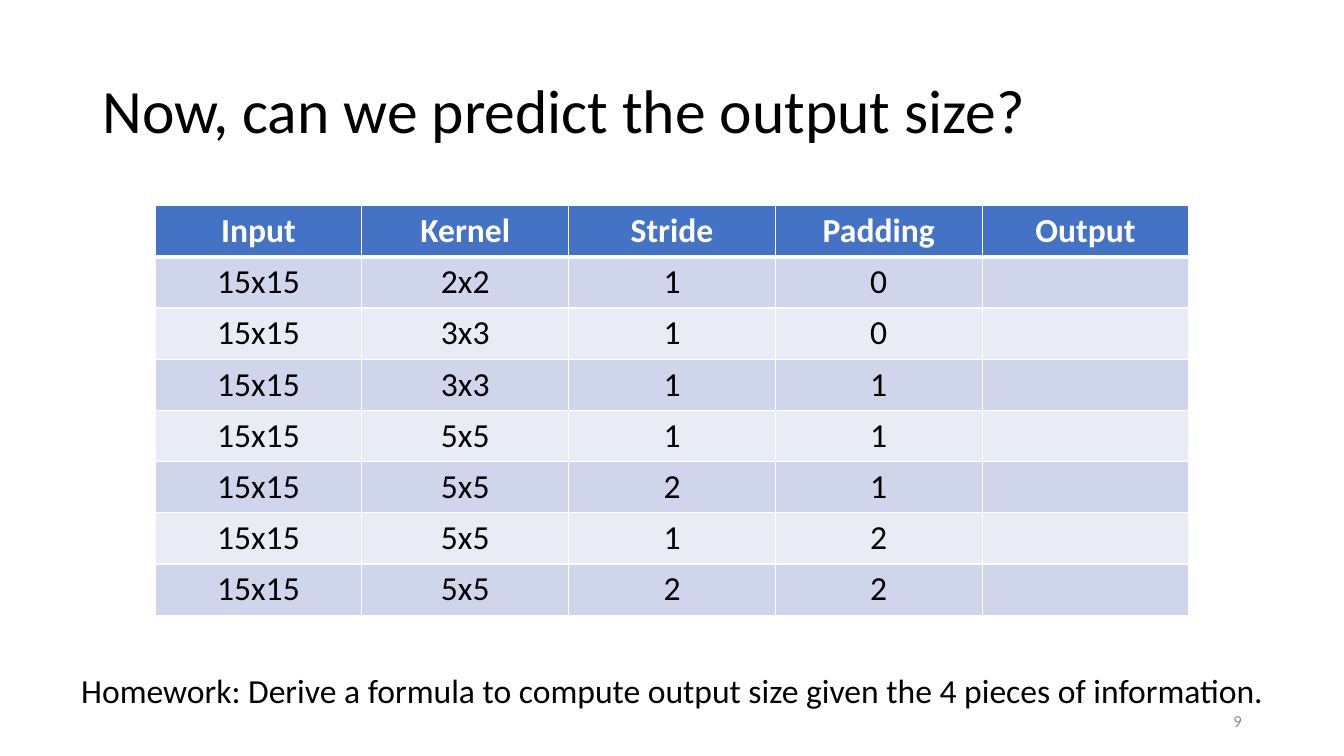
from dataclasses import dataclass

from lxml import etree
from pptx import Presentation
from pptx import util as u
from pptx.dml import color
from pptx.enum import text
from pptx.oxml import ns


@dataclass(frozen=True)
class Theme:
    """Colours, font and type sizes of the deck."""
    font: str = "Calibri"
    ink: str = "000000"
    paper: str = "FFFFFF"
    muted: str = "8C8C8C"
    header: str = "4472C4"
    bands: tuple[str, str] = ("CFD5EA", "E9EBF5")
    title_size: int = 44
    body_size: int = 24
    number_size: int = 12


@dataclass(frozen=True)
class Caption:
    """A text box with its place in centimetres and its format."""
    words: str
    place: tuple[float, float, float, float]
    size: int
    ink: str
    frame: dict
    para: dict


THEME = Theme()
LEFT, CENTER, RIGHT = text.PP_ALIGN.LEFT, text.PP_ALIGN.CENTER, text.PP_ALIGN.RIGHT
MIDDLE = {"word_wrap": True, "vertical_anchor": text.MSO_ANCHOR.MIDDLE}
GROWING = {"word_wrap": False, "auto_size": text.MSO_AUTO_SIZE.SHAPE_TO_FIT_TEXT}

TITLE = Caption("Now, can we predict the output size?", (2.33, 1.02, 29.21, 3.68),
                THEME.title_size, THEME.ink, MIDDLE,
                {"alignment": LEFT, "line_spacing": 0.9})
HOMEWORK = Caption(
    "Homework: Derive a formula to compute output size given the 4 pieces of information.",
    (1.65, 16.76, 30.58, 1.17), THEME.body_size, THEME.ink, GROWING,
    {"alignment": CENTER})
PAGE_NUMBER = Caption("9", (23.93, 17.65, 7.62, 1.01), THEME.number_size,
                      THEME.muted, MIDDLE, {"alignment": RIGHT})

HEADINGS = ("Input", "Kernel", "Stride", "Padding", "Output")
INPUT_SIZE = "15x15"
CASES = (("2x2", "1", "0"), ("3x3", "1", "0"), ("3x3", "1", "1"), ("5x5", "1", "1"),
         ("5x5", "2", "1"), ("5x5", "1", "2"), ("5x5", "2", "2"))
TABLE_LEFT, TABLE_TOP, COLUMN_WIDTH, ROW_HEIGHT = 3.91, 5.18, 5.21, 1.29
THIN, THICK = 1, 3


def set_all(target, values: dict) -> None:
    """Set every attribute named in values."""
    for name, value in values.items():
        setattr(target, name, value)


def write(para, words: str, size: int, ink: str, bold: bool = False) -> None:
    """Add one formatted span to a paragraph."""
    span = para.add_run()
    span.text = words
    set_all(span.font, {"name": THEME.font, "size": u.Pt(size), "bold": bold})
    span.font.color.rgb = color.RGBColor.from_string(ink)


def draw_caption(page, caption: Caption) -> None:
    """Draw a text box."""
    box = page.shapes.add_textbox(*map(u.Cm, caption.place))
    set_all(box.text_frame, caption.frame)
    para = box.text_frame.paragraphs[0]
    set_all(para, caption.para)
    write(para, caption.words, caption.size, caption.ink)


def draw_borders(cell, widths: dict[str, int]) -> None:
    """Give a cell solid borders of the given point widths."""
    properties = cell._tc.get_or_add_tcPr()
    for index, (side, width) in enumerate(widths.items()):
        line = etree.Element(ns.qn(f"a:ln{side}"), w=str(u.Pt(width)))
        fill = etree.SubElement(line, ns.qn("a:solidFill"))
        etree.SubElement(fill, ns.qn("a:srgbClr"), val=THEME.paper)
        properties.insert(index, line)


def draw_table(page) -> None:
    """Draw the banded table of convolution settings."""
    rows = [HEADINGS] + [(INPUT_SIZE, *case, "") for case in CASES]
    table = page.shapes.add_table(
        len(rows), len(HEADINGS), u.Cm(TABLE_LEFT), u.Cm(TABLE_TOP),
        u.Cm(COLUMN_WIDTH * len(HEADINGS)), u.Cm(ROW_HEIGHT * len(rows))).table
    for row_index, row in enumerate(rows):
        heading = row_index == 0
        fill = THEME.header if heading else THEME.bands[(row_index - 1) % 2]
        ink = THEME.paper if heading else THEME.ink
        widths = {"L": THIN, "R": THIN,
                  "T": THICK if row_index == 1 else THIN,
                  "B": THICK if heading else THIN}
        for column_index, words in enumerate(row):
            cell = table.cell(row_index, column_index)
            cell.fill.solid()
            cell.fill.fore_color.rgb = color.RGBColor.from_string(fill)
            draw_borders(cell, widths)
            para = cell.text_frame.paragraphs[0]
            para.alignment = CENTER
            if words:
                write(para, words, THEME.body_size, ink, heading)


def main() -> None:
    """Build the slide and save the deck."""
    deck = Presentation()
    set_all(deck, {"slide_width": u.Cm(33.87), "slide_height": u.Cm(19.05)})
    page = deck.slides.add_slide(deck.slide_layouts[6])
    draw_caption(page, TITLE)
    draw_table(page)
    draw_caption(page, HOMEWORK)
    draw_caption(page, PAGE_NUMBER)
    deck.save("out.pptx")


if __name__ == "__main__":
    main()
